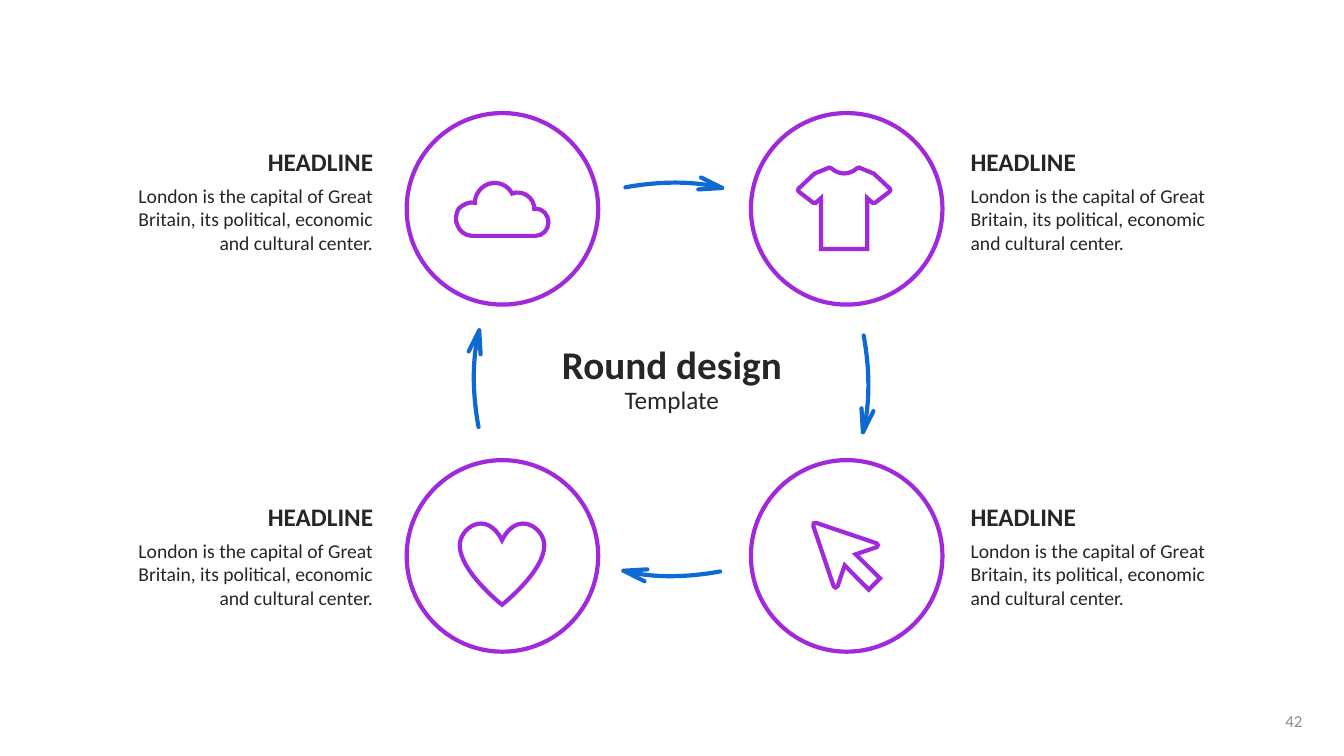
import dataclasses

import lxml.etree
import pptx
import pptx.dml.color
import pptx.enum.shapes
import pptx.enum.text
import pptx.oxml.ns
import pptx.util

Pt = pptx.util.Pt
qn = pptx.oxml.ns.qn
ALIGN = pptx.enum.text.PP_ALIGN
ANCHOR = pptx.enum.text.MSO_ANCHOR


@dataclasses.dataclass(frozen=True)
class Theme:
    font: str = "Calibri"
    ring: str = "A02ADB"
    arrow: str = "0E6AD1"
    text: str = "252625"
    muted: str = "8C8C8C"
    title: int = 28
    heading: int = 18
    body: int = 14
    number: int = 12
    stroke: int = 3


# A path is a list of segments, each a list of points:
# one point draws a line (or starts the path), three draw a cubic curve.
def path_of(*rows):
    return [list(zip(row[::2], row[1::2])) for row in rows]


def mapped(path, change):
    return [[change(x, y) for x, y in seg] for seg in path]


def mirrored(half, flip):
    """Complete a symmetric outline from one half."""
    back = [list(reversed(seg[:-1])) + [before[-1]]
            for before, seg in reversed(list(zip(half, half[1:])))]
    return half + mapped([half[-1][-1:]] + back, flip)


def turned(point, quarters):
    """Rotate a point clockwise by quarter turns."""
    x, y = point
    for _ in range(quarters):
        x, y = -y, x
    return x, y


def bezier(points, t):
    while len(points) > 1:
        points = [tuple(a + (b - a) * t for a, b in zip(p, q))
                  for p, q in zip(points, points[1:])]
    return points[0]


def extent_points(path, steps=20):
    """Points along the path, from which its frame follows."""
    points = [path[0][-1]]
    for seg in path[1:]:
        start = points[-1]
        points += [bezier([start, *seg], i / steps) for i in range(1, steps + 1)]
    return points


class Deck:
    def __init__(self, theme):
        self.theme = theme
        self.prs = pptx.Presentation()
        self.prs.slide_width, self.prs.slide_height = Pt(960), Pt(540)
        self.s = self.prs.slides.add_slide(self.prs.slide_layouts[6])

    def stroke(self, sp, color, rounded=False):
        sp.line.color.rgb = pptx.dml.color.RGBColor.from_string(color)
        sp.line.width = Pt(self.theme.stroke)
        ln = sp.element.spPr.find(qn("a:ln"))
        if rounded:
            ln.set("cap", "rnd")
            lxml.etree.SubElement(ln, qn("a:round"))
        else:
            lxml.etree.SubElement(ln, qn("a:miter")).set("lim", "800000")

    def ring(self, cx, cy, size):
        sp = self.s.shapes.add_shape(pptx.enum.shapes.MSO_SHAPE.OVAL, Pt(cx - size / 2),
                                     Pt(cy - size / 2), Pt(size), Pt(size))
        sp.fill.background()
        sp.shadow.inherit = False
        self.stroke(sp, self.theme.ring)

    def outline(self, shapes, cx, cy, path, color, close=True):
        placed = mapped(path, lambda x, y: (Pt(cx + x), Pt(cy + y)))
        frame = extent_points(placed)
        builder = shapes.build_freeform(*frame[0])
        builder.add_line_segments(frame[1:], close=close)
        sp = builder.convert_to_shape()
        sp.fill.background()
        sp.shadow.inherit = False
        self.stroke(sp, color, rounded=not close)
        # Draw the frame's content with real curves
        geometry = next(sp.element.iter(qn("a:path")))
        for child in list(geometry):
            geometry.remove(child)
        for i, seg in enumerate(placed):
            tag = "a:moveTo" if i == 0 else "a:lnTo" if len(seg) == 1 else "a:cubicBezTo"
            step = lxml.etree.SubElement(geometry, qn(tag))
            for x, y in seg:
                pt = lxml.etree.SubElement(step, qn("a:pt"))
                pt.set("x", str(int(x - sp.left)))
                pt.set("y", str(int(y - sp.top)))
        if close:
            lxml.etree.SubElement(geometry, qn("a:close"))

    def icon(self, cx, cy, path):
        self.outline(self.s.shapes, cx, cy, path, self.theme.ring)

    def line(self, shapes, start, end):
        sp = shapes.add_connector(pptx.enum.shapes.MSO_CONNECTOR.STRAIGHT,
                                  *(Pt(v) for v in (*start, *end)))
        self.stroke(sp, self.theme.arrow, rounded=True)
        lxml.etree.SubElement(sp.element.spPr, qn("a:effectLst"))

    def arrow(self, cx, cy, quarters):
        shapes = self.s.shapes.add_group_shape().shapes
        shaft = mapped(ARROW_SHAFT, lambda x, y: turned((x, y), quarters))
        self.outline(shapes, cx, cy, shaft, self.theme.arrow, close=False)
        tip, *barbs = [(cx + x, cy + y) for x, y in
                       (turned(point, quarters) for point in ARROW_HEAD)]
        for barb in barbs:
            self.line(shapes, barb, tip)

    def text_box(self, x, y, w, h, anchor=ANCHOR.TOP):
        tf = self.s.shapes.add_textbox(Pt(x), Pt(y), Pt(w), Pt(h)).text_frame
        tf.word_wrap = True
        tf.vertical_anchor = anchor
        return tf

    def run(self, p, text, size, bold=False, color=None):
        r = p.add_run()
        r.text = text
        r.font.name, r.font.size, r.font.bold = self.theme.font, Pt(size), bold
        r.font.color.rgb = pptx.dml.color.RGBColor.from_string(color or self.theme.text)

    def label(self, x, y, align, heading, body):
        tf = self.text_box(x, y, 205.2, 85)
        p = tf.paragraphs[0]
        p.alignment = align
        self.run(p, heading, self.theme.heading, bold=True)
        p = tf.add_paragraph()
        p.alignment = align
        p.space_before = Pt(5.2)
        self.run(p, body, self.theme.body)

    def title(self, x, y, w, h, title, subtitle):
        p = self.text_box(x, y, w, h).paragraphs[0]
        p.alignment = ALIGN.CENTER
        p.line_spacing = 0.9
        self.run(p, title, self.theme.title, bold=True)
        p.add_line_break()
        self.run(p, subtitle, self.theme.heading)

    def page_number(self, x, y, w, h, number):
        p = self.text_box(x, y, w, h, ANCHOR.MIDDLE).paragraphs[0]
        p.alignment = ALIGN.RIGHT
        self.run(p, number, self.theme.number, color=self.theme.muted)


# Arrow pointing up, around its centre: shaft, then tip and two barbs
ARROW_SHAFT = path_of((2, 33.5), (-2, 12, -3, -12.5, 2, -33.5))
ARROW_HEAD = [(2.5, -35.5), (-5, -20.5), (3.5, -18.5)]

# Icon outlines around their centres
CLOUD = path_of(
    (23.8, -0.7), (23, -0.7), (23, -4.3, 21.3, -7.9, 18, -10.1),
    (15.1, -12.2, 10.8, -13, 7.2, -11.5), (4.3, -17.3, -2.2, -20.2, -8.6, -18.7),
    (-14.4, -17.3, -19.4, -11.5, -19.4, -5), (-23.8, -5.8, -28.1, -3.6, -31, -0.7),
    (-33.1, 2.9, -33.8, 7.9, -31.7, 11.5), (-30.2, 15.8, -25.9, 18.4, -21.6, 18.7),
    (23.8, 18.7), (28.8, 18.7, 33.1, 14.4, 33.1, 9.4),
    (33.1, 3.6, 29.5, -0.7, 23.8, -0.7))
SHIRT = mirrored(path_of(
    (0, -24.8), (3.2, -24.8, 6.8, -26.3, 9, -28.4), (9.3, -29.2, 10, -29.2, 10.6, -29),
    (20.5, -25), (21.3, -24.6), (32.6, -14), (33.2, -13.2, 33, -12.2, 32.2, -11.6),
    (22, -3.8), (21.4, -3.2, 20.8, -3.2, 20.3, -3.8), (16.5, -7.2), (16.5, 29.2)),
    lambda x, y: (-x, y))
HEART = mirrored(path_of(
    (0, -17.3), (11.2, -39.6, 30.2, -26, 30.2, -13.7), (30.2, 5, 0, 28.8, 0, 28.8)),
    lambda x, y: (-x, y))
POINTER = mirrored(path_of(
    (-23.5, -23.5), (-23, -24, -22.3, -24, -21.6, -23.8), (21.4, -9.3),
    (22.6, -8.8, 22.6, -7, 21.4, -6.5), (6.5, -1.4), (23.8, 15.8)),
    lambda x, y: (y, x))

BODY = "London is the capital of Great Britain, its political, economic and cultural center."


def main():
    deck = Deck(Theme())
    # Four rings with their labels
    for ring_x, label_x, align in ((358.9, 68.4, ALIGN.RIGHT), (604.8, 686.2, ALIGN.LEFT)):
        for ring_y, label_y in ((149.2, 100.8), (397.1, 354.3)):
            deck.ring(ring_x, ring_y, 136.8)
            deck.label(label_x, label_y, align, "HEADLINE", BODY)
    # Clockwise arrows between the rings
    centres = ((339.8, 271.5), (480.3, 131.8), (618.9, 273.2), (480.9, 410.2))
    for quarters, (x, y) in enumerate(centres):
        deck.arrow(x, y, quarters)
    # Icons
    deck.icon(358.6, 149.8, CLOUD)
    deck.icon(603, 148.7, SHIRT)
    deck.icon(358.6, 403.2, HEART)
    deck.icon(604.8, 397.4, POINTER)
    # Centre title and page number
    deck.title(349.2, 243.4, 261.4, 65.5, "Round design", "Template")
    deck.page_number(889.2, 500.4, 48.2, 28.8, "42")
    deck.prs.save("out.pptx")


if __name__ == "__main__":
    main()
